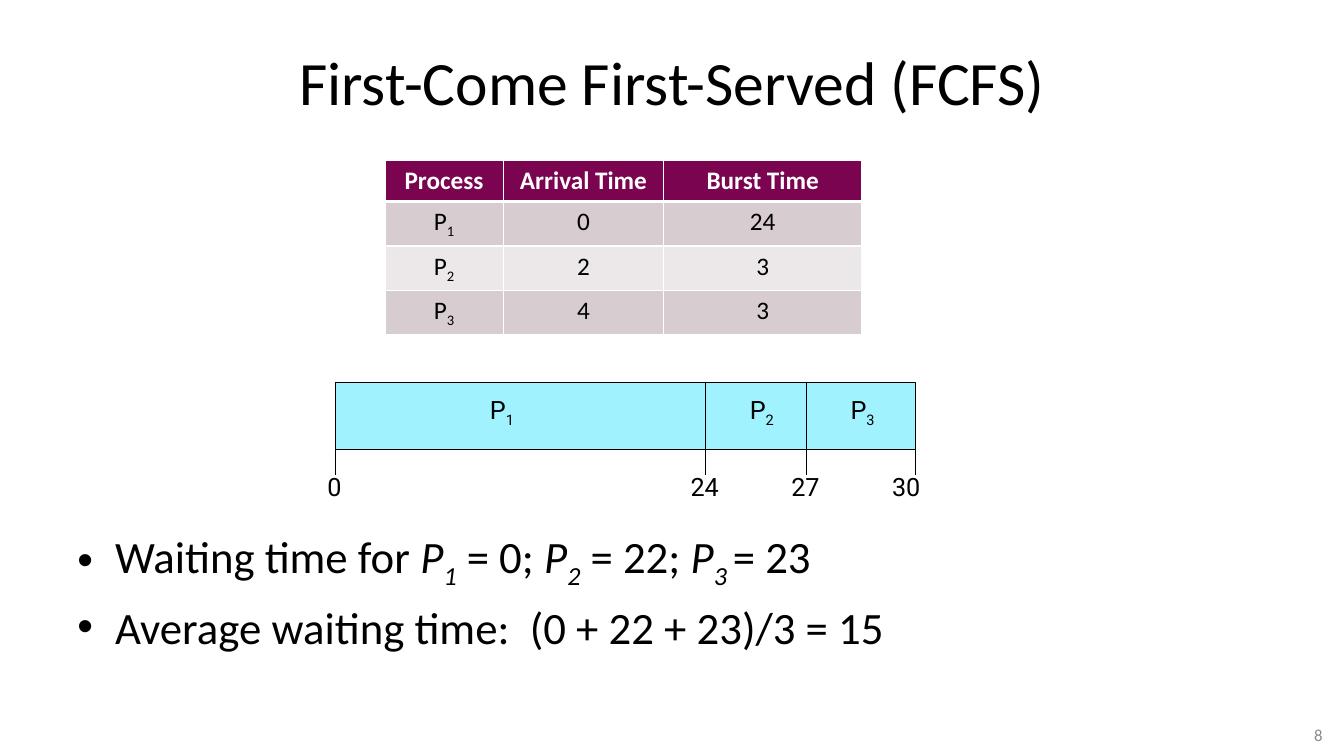
from pptx import Presentation
from pptx import util as u
from pptx.dml.color import RGBColor
from pptx.enum import shapes, text
from pptx.oxml.ns import qn
from lxml import etree

BLACK, WHITE, GREY = "000000", "FFFFFF", "898989"
HEADER, BAND_DARK, BAND_LIGHT = "7A0450", "D7CCD0", "ECE7E9"
BAR = "A0F3FE"
LEFT, CENTER, RIGHT = text.PP_ALIGN.LEFT, text.PP_ALIGN.CENTER, text.PP_ALIGN.RIGHT


def color(hex_string):
    return RGBColor.from_string(hex_string)


def process(number):
    """Runs for a process name with its number as a subscript."""
    return [("P", ""), (f"{number}", "sub")]


def write(paragraph, runs, align=CENTER, **font):
    """Fill a paragraph with (text, style) runs; a style may hold 'italic' and 'sub'."""
    paragraph.alignment = align
    font = {"name": "Calibri", "size": u.Pt(18), "bold": False, **font}
    fill = font.pop("fill", BLACK)
    for content, style in runs:
        run = paragraph.add_run()
        run.text = content
        for name, value in font.items():
            setattr(run.font, name, value)
        run.font.color.rgb = color(fill)
        run.font.italic = "italic" in style
        if "sub" in style:
            run.font._element.set("baseline", "-25000")


def add_text(slide, box, paragraphs, wrap=True, anchor=text.MSO_ANCHOR.MIDDLE, **font):
    frame = slide.shapes.add_textbox(*map(u.Cm, box)).text_frame
    frame.word_wrap = wrap
    frame.vertical_anchor = anchor
    for index, runs in enumerate(paragraphs):
        paragraph = frame.add_paragraph() if index else frame.paragraphs[0]
        write(paragraph, runs, **font)
    return frame


def add_line(slide, x1, y1, x2, y2):
    line = slide.shapes.add_connector(
        shapes.MSO_CONNECTOR.STRAIGHT, *map(u.Cm, (x1, y1, x2, y2)))
    line.line.color.rgb = color(BLACK)
    line.line.width = u.Pt(0.75)
    etree.SubElement(line._element.spPr, qn("a:effectLst"))


def set_borders(cell, **widths):
    """Draw white borders; widths are points by side: L, R, T, B."""
    properties = cell._tc.get_or_add_tcPr()
    for side, width in widths.items():
        border = etree.SubElement(properties, qn(f"a:ln{side}"), w=str(u.Pt(width)))
        fill = etree.SubElement(border, qn("a:solidFill"))
        etree.SubElement(fill, qn("a:srgbClr"), val=WHITE)


def add_process_table(slide, box):
    rows = [[[(title, "")] for title in ("Process", "Arrival Time", "Burst Time")]]
    for number, (arrival, burst) in enumerate([(0, 24), (2, 3), (4, 3)], start=1):
        rows.append([process(number), [(f"{arrival}", "")], [(f"{burst}", "")]])
    table = slide.shapes.add_table(len(rows), len(rows[0]), *map(u.Cm, box)).table
    for column, width in zip(table.columns, (2.98, 4.05, 4.98)):
        column.width = u.Cm(width)
    for row_index, row in enumerate(rows):
        is_header = row_index == 0
        band = HEADER if is_header else BAND_DARK if row_index % 2 else BAND_LIGHT
        for column_index, runs in enumerate(row):
            cell = table.cell(row_index, column_index)
            set_borders(cell, L=1, R=1, T=3 if row_index == 1 else 1, B=3 if is_header else 1)
            cell.fill.solid()
            cell.fill.fore_color.rgb = color(band)
            write(cell.text_frame.paragraphs[0], runs,
                  bold=is_header, fill=WHITE if is_header else BLACK)


def add_gantt_chart(slide, box):
    left, top, width, height = box
    bottom, tick, label_width = top + height, 0.63, 1.5
    bar = slide.shapes.add_shape(shapes.MSO_SHAPE.RECTANGLE, *map(u.Cm, box))
    bar.shadow.inherit = False
    bar.fill.solid()
    bar.fill.fore_color.rgb = color(BAR)
    bar.line.color.rgb = color(BLACK)
    bar.line.width = u.Pt(0.75)

    def add_label(center, y, runs):
        add_text(slide, (left + center - label_width / 2, y, label_width, 1.02), [runs],
                 wrap=False, name="Roboto")

    dividers = [9.32, 11.86]
    for x in dividers:
        add_line(slide, left + x, top, left + x, bottom)
    for x in [0, *dividers, width]:
        add_line(slide, left + x, bottom, left + x, bottom + tick)
    for number, center in enumerate([4.19, 10.74, 13.28], start=1):
        add_label(center, top + 0.23, process(number))
    for time, center in zip((0, 24, 27, 30), (-0.03, 9.3, 11.84, 14.38)):
        add_label(center, bottom + 0.43, [(f"{time}", "")])


def add_waiting_times(slide, box):
    waiting = [
        ("Waiting time for ", ""), ("P", "italic"), ("1", "italic sub"),
        (" = 0; ", ""), ("P", "italic"), ("2", "italic sub"),
        (" = 22; ", ""), ("P", "italic"), ("3 ", "italic sub"), ("= 23", ""),
    ]
    average = [("Average waiting time:  (0 + 22 + 23)/3 = 15", "")]
    frame = add_text(slide, box, [waiting, average], anchor=text.MSO_ANCHOR.TOP,
                     align=LEFT, size=u.Pt(32))
    for paragraph in frame.paragraphs:
        paragraph.space_before = u.Pt(6.4)
        properties = paragraph._p.get_or_add_pPr()
        properties.set("marL", str(u.Cm(0.95)))
        properties.set("indent", str(-u.Cm(0.95)))
        etree.SubElement(properties, qn("a:buFont"), typeface="Arial")
        etree.SubElement(properties, qn("a:buChar"), char="•")


def main():
    presentation = Presentation()
    presentation.slide_width, presentation.slide_height = u.Cm(33.87), u.Cm(19.05)
    slide = presentation.slides.add_slide(presentation.slide_layouts[6])
    add_text(slide, (1.7, 0.76, 30.48, 2.57),
             [[("First-Come First-Served (FCFS)", "")]], size=u.Pt(44))
    add_process_table(slide, (9.7, 4.05, 12.01, 4.12))
    add_gantt_chart(slide, (8.46, 9.63, 14.61, 1.7))
    add_waiting_times(slide, (1.7, 13.21, 30.48, 4.14))
    add_text(slide, (29.95, 18.14, 3.63, 0.74), [[("8", "")]],
             align=RIGHT, size=u.Pt(12), fill=GREY)
    presentation.save("out.pptx")


if __name__ == "__main__":
    main()
